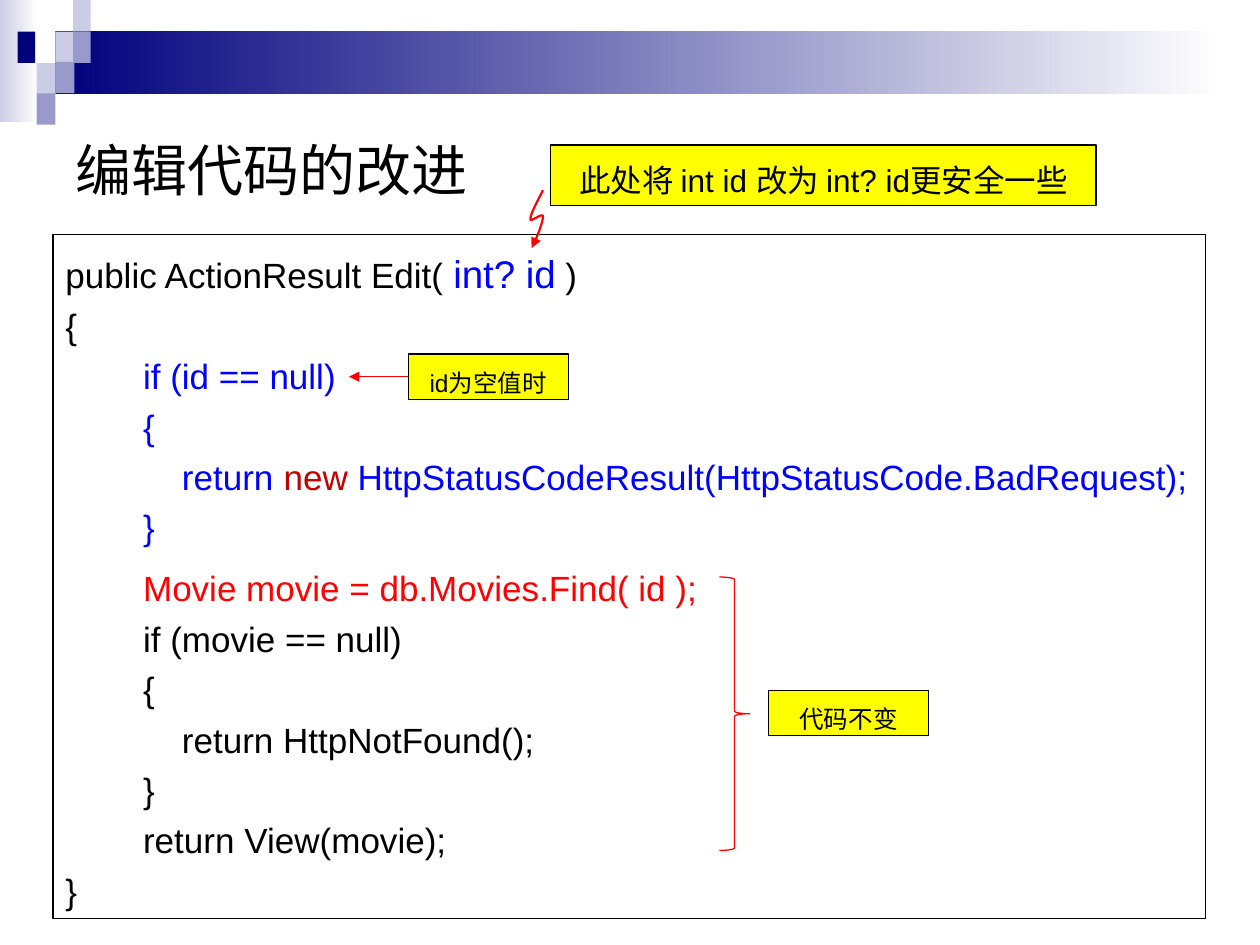
from dataclasses import dataclass, field
from typing import Any

from lxml.etree import SubElement
from pptx import Presentation
from pptx.dml.color import RGBColor
from pptx.enum.shapes import MSO_CONNECTOR as Connector, MSO_SHAPE as Shape
from pptx.enum.text import MSO_ANCHOR as Anchor, PP_ALIGN as Align
from pptx.oxml.ns import qn
from pptx.util import Inches, Pt

COLORS = {
    "black": "000000", "white": "FFFFFF", "navy": "00007D", "lilac": "CCCCE6",
    "violet": "9999CC", "yellow": "FFFF00", "red": "FF0000", "blue": "0000FF",
    "crimson": "C00000",
}

BANDS = [((0, 0, 0.3, 0.97), "lilac"), ((0.44, 0.25, 9.29, 0.5), "navy")]

TILES = [
    (0.44, 0.25, 0.15, "lilac"), (0.58, 0, 0.14, "lilac"), (0.58, 0.25, 0.14, "violet"),
    (0.29, 0.5, 0.15, "lilac"), (0.14, 0.25, 0.14, "navy"), (0.44, 0.49, 0.15, "violet"),
    (0.29, 0.74, 0.15, "violet"),
]

CODE = [
    [("public ActionResult Edit( ", "black"), ("int? id", "blue", 22), (" )", "black")],
    [("{", "black")],
    [("        if (id == null)", "blue")],
    [("        {", "blue")],
    [("            return ", "blue"), ("new ", "crimson"),
     ("HttpStatusCodeResult(HttpStatusCode.BadRequest);", "blue")],
    [("        }", "blue")],
    [("        Movie movie = db.Movies.Find( id );", "red")],
    [("        if (movie == null)", "black")],
    [("        {", "black")],
    [("            return HttpNotFound();", "black")],
    [("        }", "black")],
    [("        return View(movie);", "black")],
    [("}", "black")],
]
GUARD_END = 5

CALLOUTS = [
    ((4.37, 1.15, 4.33, 0.48), "此处将 int id 改为 int? id更安全一些", 18),
    ((3.24, 2.81, 1.27, 0.36), "id为空值时", 14),
    ((6.1, 5.48, 1.27, 0.36), "代码不变", 14),
]

SQUIGGLE = [
    [(4.31, 1.51), (4.26, 1.61), (4.21, 1.7), (4.21, 1.74)],
    [(4.21, 1.74), (4.21, 1.77), (4.31, 1.68), (4.31, 1.72)],
    [(4.31, 1.72), (4.31, 1.76), (4.27, 1.87), (4.22, 1.97)],
]


def rgb(name):
    """Return the named colour."""
    return RGBColor.from_string(COLORS[name])


def bezier(points, t):
    """Return the point at t on a cubic curve, as lengths."""
    weights = ((1 - t) ** 3, 3 * t * (1 - t) ** 2, 3 * t * t * (1 - t), t ** 3)
    return tuple(Inches(sum(w * p[axis] for w, p in zip(weights, points)))
                 for axis in (0, 1))


@dataclass
class SlideWriter:
    """Draws styled elements on the current slide."""

    slide: Any
    font: str = "Arial"
    thin: float = 0.75
    steps: int = 12
    code_size: int = 20
    shapes: Any = field(init=False)

    def __post_init__(self):
        self.shapes = self.slide.shapes

    def style_run(self, run, size, color="black"):
        run.font.name = self.font
        run.font.size = Pt(size)
        run.font.color.rgb = rgb(color)

    def outline(self, shape, color, width):
        shape.line.color.rgb = rgb(color)
        shape.line.width = Pt(width)

    def preset(self, kind, box, fill=None, line=None):
        shape = self.shapes.add_shape(kind, *map(Inches, box))
        shape.shadow.inherit = False
        if fill:
            shape.fill.solid()
            shape.fill.fore_color.rgb = rgb(fill)
        else:
            shape.fill.background()
        if line:
            self.outline(shape, line, self.thin)
        else:
            shape.line.fill.background()
        return shape

    def fade(self, box, start):
        band = self.preset(Shape.RECTANGLE, box, start)
        band.fill.gradient()
        band.fill.gradient_angle = 0
        for stop, color, position in zip(band.fill.gradient_stops, (start, "white"), (0, 1)):
            stop.color.rgb = rgb(color)
            stop.position = position

    def title(self, box, text):
        heading = self.shapes.title
        heading.left, heading.top, heading.width, heading.height = map(Inches, box)
        frame = heading.text_frame
        frame.text = text
        frame.vertical_anchor = Anchor.MIDDLE
        frame.paragraphs[0].alignment = Align.LEFT
        self.style_run(frame.paragraphs[0].runs[0], 32)

    def code(self, box, lines):
        listing = self.shapes.add_textbox(*map(Inches, box))
        self.outline(listing, "black", self.thin)
        frame = listing.text_frame
        frame.word_wrap = True
        frame.margin_right = Inches(0.05)
        for index, pieces in enumerate(lines):
            paragraph = frame.add_paragraph() if index else frame.paragraphs[0]
            paragraph.line_spacing = 1.2
            if index == GUARD_END:
                paragraph.space_after = Pt(6)
            for text, color, *size in pieces:
                run = paragraph.add_run()
                run.text = text
                self.style_run(run, size[0] if size else self.code_size, color)

    def callout(self, box, text, size):
        frame = self.preset(Shape.RECTANGLE, box, "yellow", "black").text_frame
        frame.word_wrap = False
        frame.vertical_anchor = Anchor.TOP
        frame.text = text
        paragraph = frame.paragraphs[0]
        paragraph.alignment = Align.CENTER
        paragraph.line_spacing = 1.25
        self.style_run(paragraph.runs[0], size)

    def arrowhead(self, shape):
        SubElement(shape.line._get_or_add_ln(), qn("a:tailEnd"), type="triangle")

    def arrow(self, start, end):
        pointer = self.shapes.add_connector(Connector.STRAIGHT, *map(Inches, start + end))
        self.outline(pointer, "red", self.thin)
        self.arrowhead(pointer)
        SubElement(pointer._element.spPr, qn("a:effectLst"))

    def curved_arrow(self, curves):
        points = [bezier(curve, step / self.steps)
                  for curve in curves for step in range(1, self.steps + 1)]
        builder = self.shapes.build_freeform(*bezier(curves[0], 0))
        builder.add_line_segments(points, close=False)
        pointer = builder.convert_to_shape()
        pointer.shadow.inherit = False
        pointer.fill.background()
        self.outline(pointer, "red", 1.25)
        self.arrowhead(pointer)


def main():
    """Build the slide and save it."""
    deck = Presentation()
    deck.slide_width, deck.slide_height = Inches(10), Inches(7.5)
    writer = SlideWriter(deck.slides.add_slide(deck.slide_layouts[5]))
    for box, color in BANDS:
        writer.fade(box, color)
    for left, top, width, color in TILES:
        writer.preset(Shape.RECTANGLE, (left, top, width, 0.25), color)
    writer.title((0.5, 0.99, 9, 0.71), "编辑代码的改进")
    writer.code((0.42, 1.86, 9.15, 5.43), CODE)
    for box, text, size in CALLOUTS:
        writer.callout(box, text, size)
    writer.curved_arrow(SQUIGGLE)
    writer.arrow((3.24, 2.99), (2.77, 2.99))
    writer.preset(Shape.RIGHT_BRACE, (5.71, 4.58, 0.24, 2.17), line="red")
    deck.save("out.pptx")


if __name__ == "__main__":
    main()
